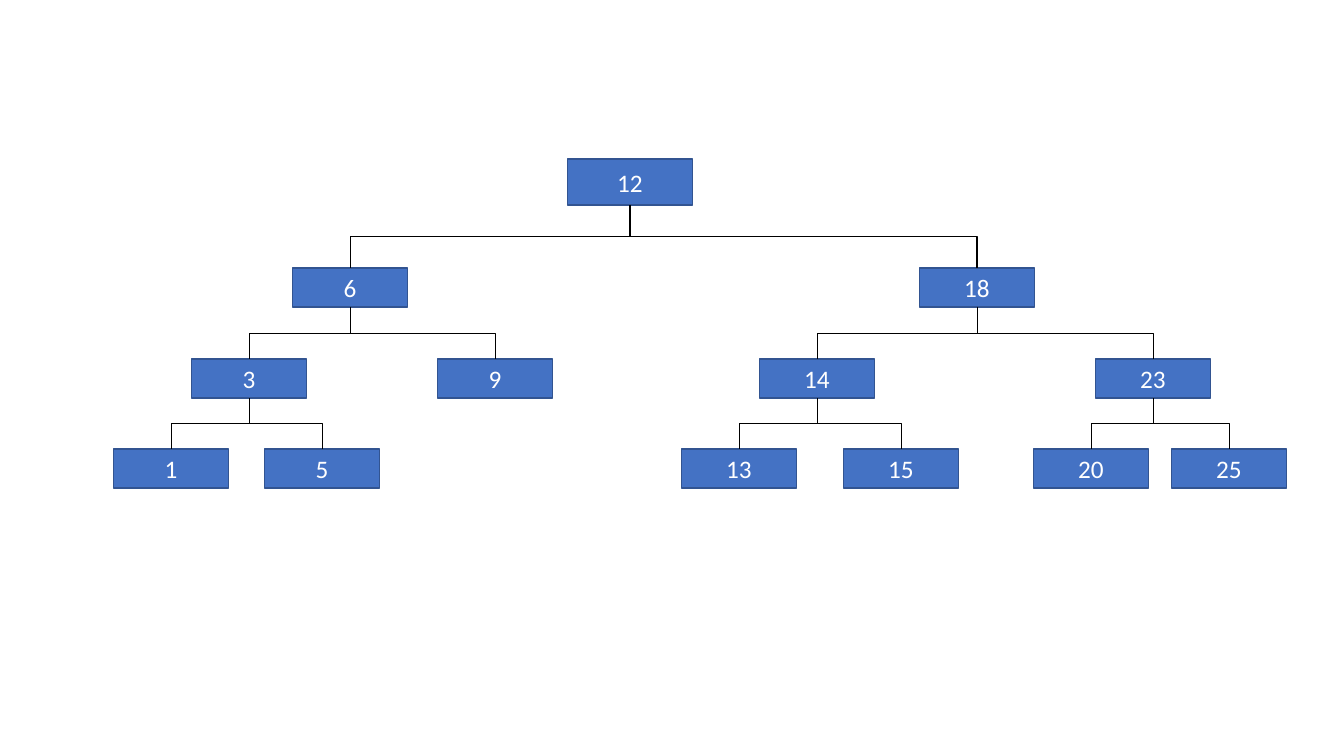
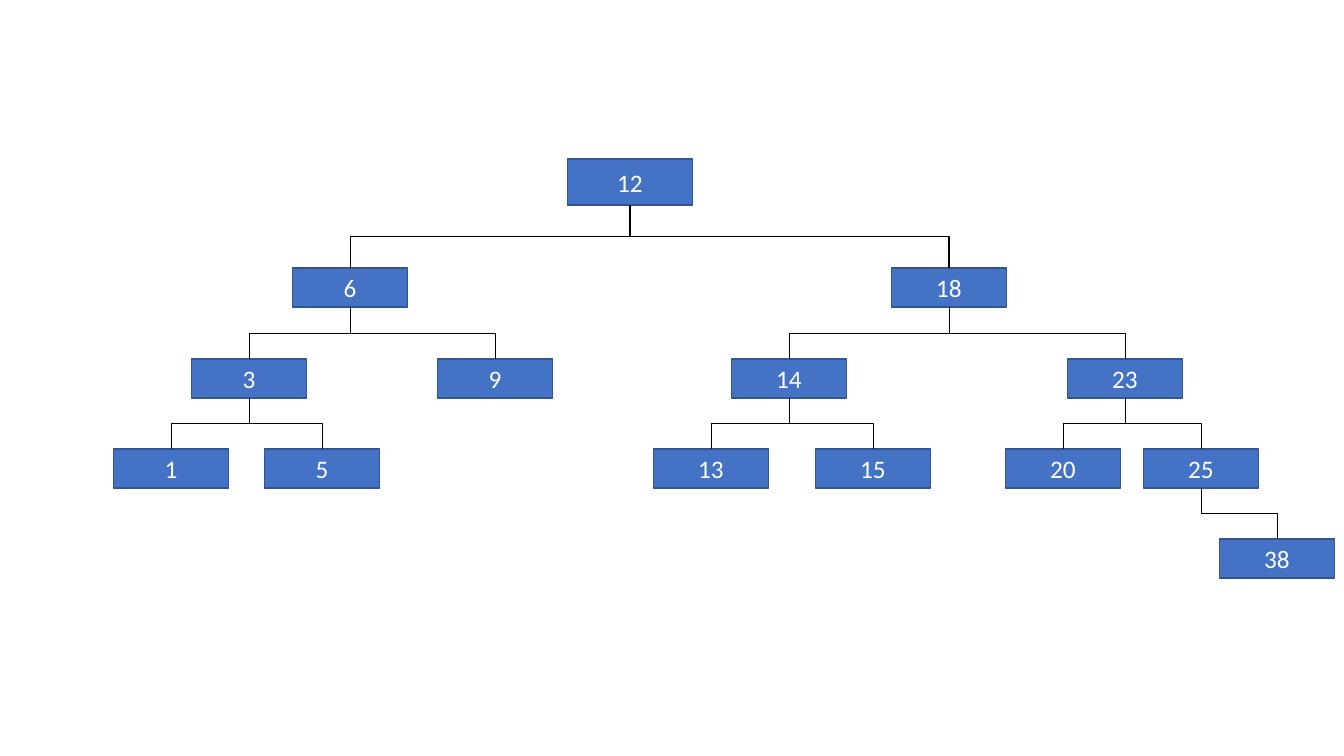
import dataclasses

import lxml.etree
import pptx
import pptx.dml.color
import pptx.enum.shapes
import pptx.enum.text
import pptx.oxml.ns
import pptx.util


@dataclasses.dataclass(frozen=True)
class Theme:
    font: str = "Calibri"
    size: int = 18
    fill: str = "4472C4"
    border: str = "325491"
    text: str = "FFFFFF"
    link: str = "000000"
    border_width: float = 1
    link_width: float = 0.5
    main_link_width: float = 1


@dataclasses.dataclass(frozen=True)
class Node:
    value: int
    center: int
    level: int
    parent: int | None = None


THEME = Theme()
SLIDE_SIZE = (1344, 756)
ROOT_SIZE = (125, 46)
NODE_SIZE = (115, 39)
LEVEL_TOPS = (159, 268, 359, 449, 539)
MAIN_LINK = (12, 18)

LEFT_TREE = [
    Node(12, 630, 0),
    Node(6, 350, 1, 12),
    Node(3, 249, 2, 6),
    Node(9, 495, 2, 6),
    Node(1, 171, 3, 3),
    Node(5, 322, 3, 3),
]
RIGHT_TREE = [
    Node(18, 977, 1, 12),
    Node(14, 817, 2, 18),
    Node(23, 1153, 2, 18),
    Node(13, 739, 3, 14),
    Node(15, 901, 3, 14),
    Node(20, 1091, 3, 23),
    Node(25, 1229, 3, 23),
]
INSERTED = Node(38, 1305, 4, 25)
INSERT_SHIFT = -28


def px(length):
    return pptx.util.Emu(round(length * 914400 / 100.8))


def rgb(code):
    return pptx.dml.color.RGBColor.from_string(code)


def shifted(nodes, dx):
    return [dataclasses.replace(n, center=n.center + dx) for n in nodes]


def add_node(s, node):
    w, h = NODE_SIZE if node.level else ROOT_SIZE
    sp = s.shapes.add_shape(
        pptx.enum.shapes.MSO_SHAPE.RECTANGLE,
        px(node.center - w / 2), px(LEVEL_TOPS[node.level]), px(w), px(h))
    sp.shadow.inherit = False
    sp.fill.solid()
    sp.fill.fore_color.rgb = rgb(THEME.fill)
    sp.line.color.rgb = rgb(THEME.border)
    sp.line.width = pptx.util.Pt(THEME.border_width)
    tf = sp.text_frame
    tf.vertical_anchor = pptx.enum.text.MSO_ANCHOR.MIDDLE
    p = tf.paragraphs[0]
    p.text = str(node.value)
    p.alignment = pptx.enum.text.PP_ALIGN.CENTER
    p.font.name = THEME.font
    p.font.size = pptx.util.Pt(THEME.size)
    p.font.color.rgb = rgb(THEME.text)
    return sp


def add_link(s, parent, child, width):
    x1, y1 = parent.left + parent.width // 2, parent.top + parent.height
    x2, y2 = child.left + child.width // 2, child.top
    link = s.shapes.add_connector(
        pptx.enum.shapes.MSO_CONNECTOR.ELBOW, x1, y1, x2, y2)
    link.begin_connect(parent, 2)
    link.end_connect(child, 0)
    link.width, link.height = y2 - y1, abs(x2 - x1)
    link.left = (x1 + x2 - link.width) // 2
    link.top = (y1 + y2 - link.height) // 2
    to_right = x2 > x1
    spPr = link.element.spPr
    xfrm = spPr.find(pptx.oxml.ns.qn("a:xfrm"))
    xfrm.set("rot", "16200000" if to_right else "5400000")
    xfrm.set("flipH", "1" if to_right else "0")
    xfrm.set("flipV", "0")
    link.line.color.rgb = rgb(THEME.link)
    link.line.width = pptx.util.Pt(width)
    lxml.etree.SubElement(spPr, pptx.oxml.ns.qn("a:effectLst"))


def add_tree(prs, nodes):
    s = prs.slides.add_slide(prs.slide_layouts[6])
    boxes = {n.value: add_node(s, n) for n in nodes}
    for n in nodes:
        if n.parent is not None:
            is_main = (n.parent, n.value) == MAIN_LINK
            width = THEME.main_link_width if is_main else THEME.link_width
            add_link(s, boxes[n.parent], boxes[n.value], width)


def main():
    prs = pptx.Presentation()
    prs.slide_width, prs.slide_height = map(px, SLIDE_SIZE)
    add_tree(prs, LEFT_TREE + RIGHT_TREE)
    add_tree(prs, LEFT_TREE + shifted(RIGHT_TREE + [INSERTED], INSERT_SHIFT))
    prs.save("out.pptx")


main()
